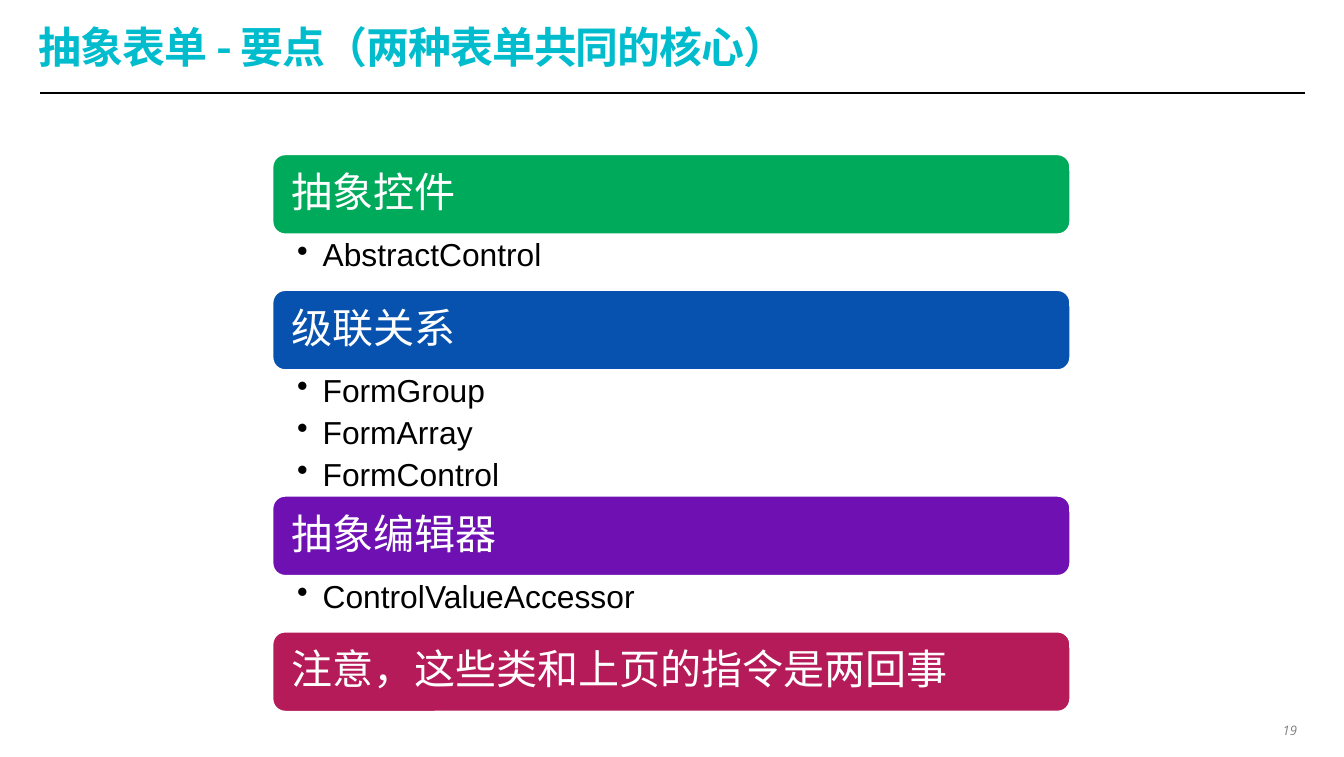
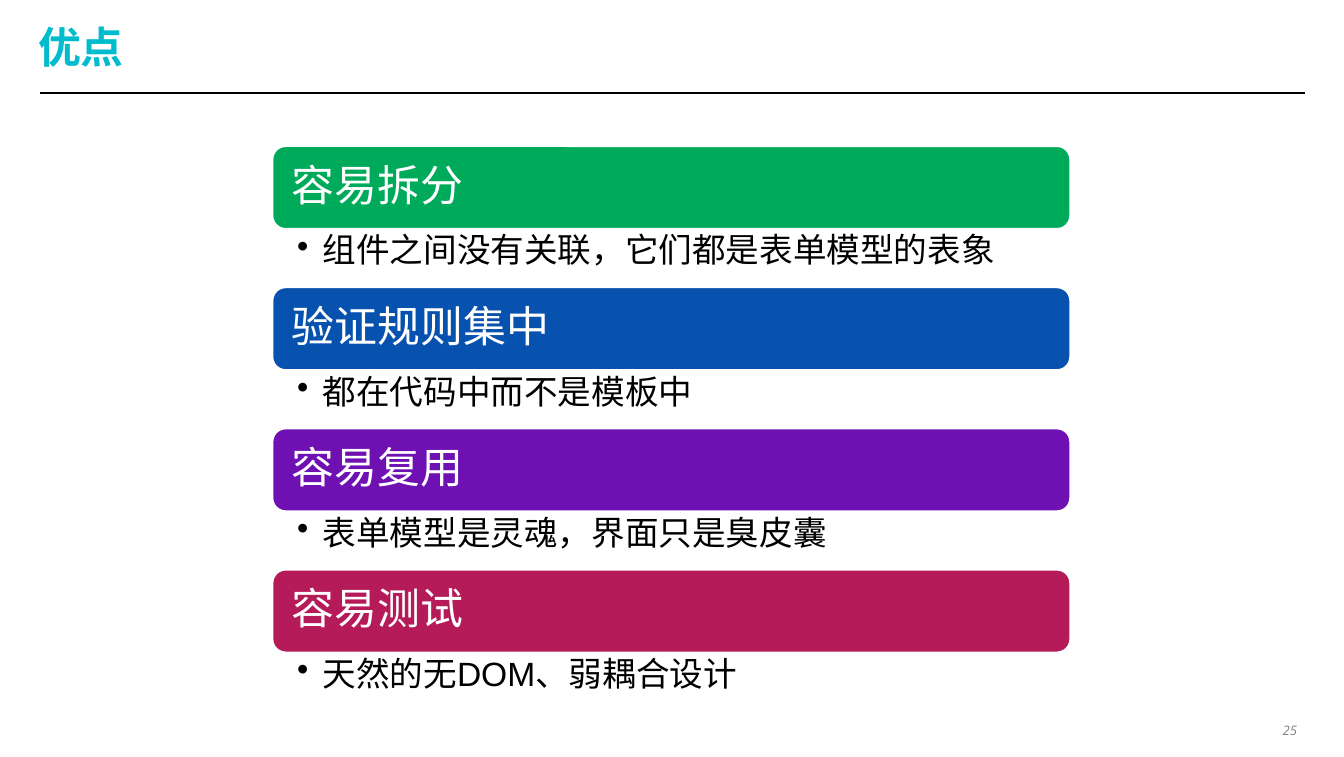
import pptx
import pptx.dml.color
import pptx.enum.shapes
import pptx.enum.text
import pptx.oxml.ns
import pptx.util
import lxml.etree

In, Pt = pptx.util.Inches, pptx.util.Pt
ALIGN = pptx.enum.text.PP_ALIGN
ANCHOR = pptx.enum.text.MSO_ANCHOR
CJK = "Noto Sans CJK JP"
TITLE_COLOR, NUMBER_COLOR = "00BCCD", "808184"
BAR_COLORS = ["00AA5B", "0852AF", "6F11B2", "B51B58"]
LEFT, WIDTH = 2.02, 5.95     # column of bars and lists
LIST_INDENT = 0.19
EXTRA_LINE = 0.26            # height of each further bullet


def rgb(color):
    return pptx.dml.color.RGBColor.from_string(color)


def write(sp, lines, size, color, font="Arial", bold=False, italic=False,
          align=ALIGN.LEFT, anchor=ANCHOR.TOP, insets=(0, 0, 0, 0), wrap=True,
          line_spacing=0.9, after=0, spacing=None, bullet=None):
    """Fill a shape with one formatted paragraph per line."""
    tf = sp.text_frame
    tf.auto_size = pptx.enum.text.MSO_AUTO_SIZE.NONE
    tf.word_wrap, tf.vertical_anchor = wrap, anchor
    tf.margin_left, tf.margin_top, tf.margin_right, tf.margin_bottom = map(In, insets)
    for i, line in enumerate(lines):
        p = tf.paragraphs[0] if i == 0 else tf.add_paragraph()
        if bullet:
            p.level = 1
            pPr = p._p.get_or_add_pPr()
            pPr.set("marL", str(In(LIST_INDENT)))
            pPr.set("indent", str(-In(LIST_INDENT)))
            lxml.etree.SubElement(pPr, pptx.oxml.ns.qn("a:buChar"), char=bullet)
        p.alignment, p.line_spacing, p.space_after = align, line_spacing, Pt(after)
        r = p.add_run()
        r.text = line
        f = r.font
        f.name, f.size, f.bold, f.italic = font, Pt(size), bold, italic
        f.color.rgb = rgb(color)
        rPr = r._r.get_or_add_rPr()
        lxml.etree.SubElement(rPr, pptx.oxml.ns.qn("a:ea"), typeface=CJK)
        if spacing:
            rPr.set("spc", str(spacing))


# Each slide: number, title, first bar's top, bar and list heights, text sizes, groups
SLIDES = [
    dict(number="19", title="抽象表单 - 要点（两种表单共同的核心）",
         top=1.14, bar=0.61, row=0.4, head_size=22, list_size=17,
         groups=[("抽象控件", ["AbstractControl"]),
                 ("级联关系", ["FormGroup", "FormArray", "FormControl"]),
                 ("抽象编辑器", ["ControlValueAccessor"]),
                 ("注意，这些类和上页的指令是两回事", [])]),
    dict(number="25", title="优点",
         top=1.08, bar=0.63, row=0.42, head_size=23, list_size=18,
         groups=[("容易拆分", ["组件之间没有关联，它们都是表单模型的表象"]),
                 ("验证规则集中", ["都在代码中而不是模板中"]),
                 ("容易复用", ["表单模型是灵魂，界面只是臭皮囊"]),
                 ("容易测试", ["天然的无DOM、弱耦合设计"])]),
]

prs = pptx.Presentation()
prs.slide_width, prs.slide_height = In(10), In(5.63)

for page in SLIDES:
    s = prs.slides.add_slide(prs.slide_layouts[5])

    # Rule under the title
    rule = s.shapes.add_connector(pptx.enum.shapes.MSO_CONNECTOR.STRAIGHT,
                                  In(0.3), In(0.69), In(9.71), In(0.69))
    rule.line.color.rgb, rule.line.width = rgb("000000"), Pt(1)
    lxml.etree.SubElement(rule._element.spPr, pptx.oxml.ns.qn("a:effectLst"))

    # Title
    title = s.shapes.title
    title.left, title.top, title.width, title.height = In(0.29), In(0.18), In(9.41), In(0.42)
    write(title, [page["title"]], 23, TITLE_COLOR, font=CJK, bold=True,
          anchor=ANCHOR.MIDDLE, line_spacing=0.7, spacing=-60)

    # Page number
    number = s.shapes.add_textbox(In(9.5), In(5.34), In(0.21), In(0.17))
    write(number, [page["number"]], 7, NUMBER_COLOR, font="Open Sans", italic=True,
          align=ALIGN.RIGHT, insets=(0.06, 0.03, 0.06, 0.03), wrap=False, line_spacing=1)

    # Coloured bars, each with its list below
    y = page["top"]
    for (heading, items), color in zip(page["groups"], BAR_COLORS):
        bar = s.shapes.add_shape(pptx.enum.shapes.MSO_SHAPE.ROUNDED_RECTANGLE,
                                 In(LEFT), In(y), In(WIDTH), In(page["bar"]))
        bar.shadow.inherit = False
        bar.fill.solid()
        bar.fill.fore_color.rgb = rgb(color)
        bar.line.color.rgb, bar.line.width = rgb("FFFFFF"), Pt(2)
        write(bar, [heading], page["head_size"], "FFFFFF",
              anchor=ANCHOR.MIDDLE, insets=(0.12, 0.09, 0.12, 0.09))
        y += page["bar"]
        if items:
            height = page["row"] + EXTRA_LINE * (len(items) - 1)
            sp = s.shapes.add_textbox(In(LEFT), In(y), In(WIDTH), In(height))
            write(sp, items, page["list_size"], "000000", bullet="•", after=4,
                  insets=(LIST_INDENT, 0.03, 0.17, 0.03))
            y += height

prs.save("out.pptx")
